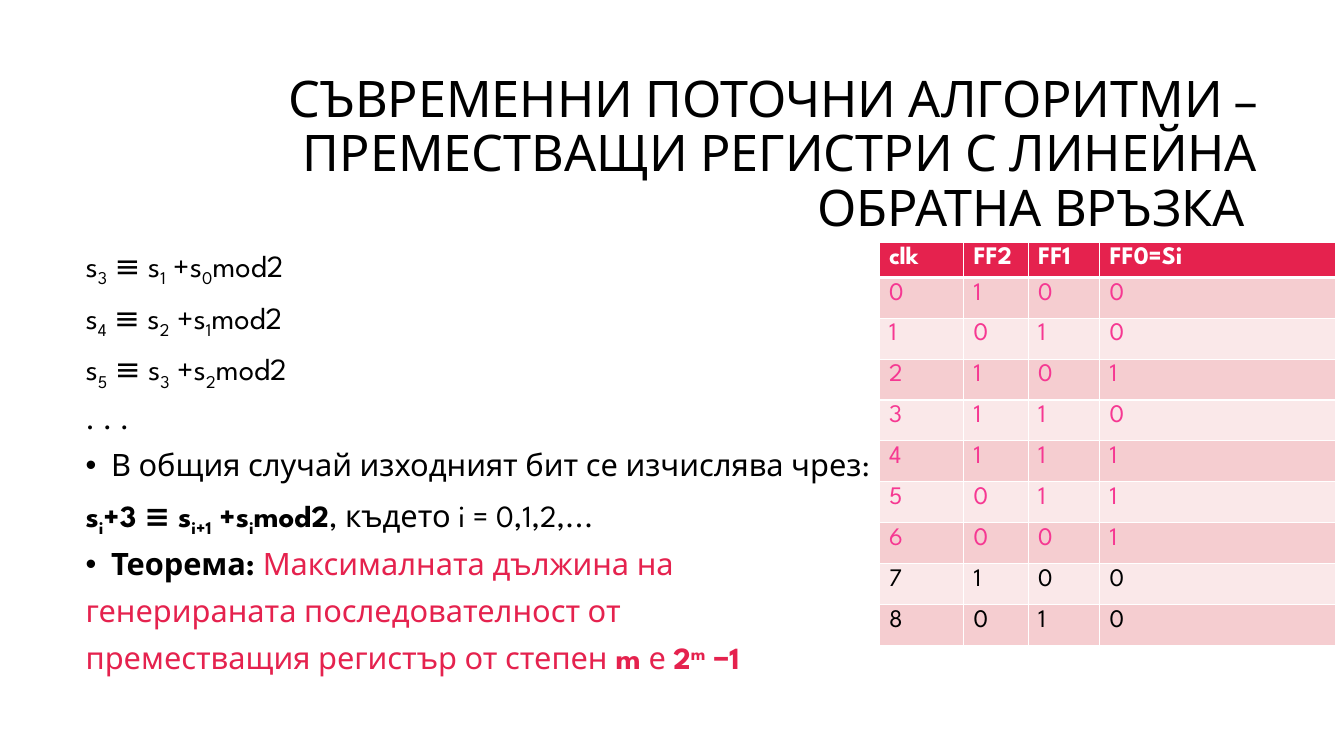
"""Build the slide on linear feedback shift registers with its state table."""
from pptx import Presentation
from pptx.dml.color import RGBColor
from pptx.enum.text import MSO_ANCHOR as ANCHOR, PP_ALIGN as ALIGN
from pptx.util import Cm, Pt
from lxml.etree import SubElement
from pptx.oxml.ns import qn

BLACK = RGBColor(0x00, 0x00, 0x00)
WHITE = RGBColor(0xFF, 0xFF, 0xFF)
RED = RGBColor(0xE5, 0x22, 0x4E)
PINK = RGBColor(0xF6, 0x38, 0x92)
BAND_DARK = RGBColor(0xF5, 0xCD, 0xD0)
BAND_LIGHT = RGBColor(0xFA, 0xE8, 0xE9)
FONT = "League Spartan"
SUB, SUP = -25000, 30000


def add_run(p, text, size, color=BLACK, bold=False, base=0):
    r = p.add_run()
    r.text = text
    r.font.name = FONT
    r.font.size = Pt(size)
    r.font.bold = bold
    r.font.color.rgb = color
    if base:
        r._r.get_or_add_rPr().set("baseline", str(base))


def add_box(s, left, top, width, height, anchor):
    tf = s.shapes.add_textbox(Cm(left), Cm(top), Cm(width), Cm(height)).text_frame
    tf.word_wrap = True
    tf.vertical_anchor = anchor
    return tf


prs = Presentation()
prs.slide_width, prs.slide_height = Cm(33.87), Cm(19.05)
s = prs.slides.add_slide(prs.slide_layouts[6])

p = add_box(s, 6.68, 2.13, 25.27, 3.58, ANCHOR.MIDDLE).paragraphs[0]
p.alignment = ALIGN.RIGHT
p.line_spacing = 0.9
add_run(p, "СЪВРЕМЕННИ ПОТОЧНИ АЛГОРИТМИ – ПРЕМЕСТВАЩИ РЕГИСТРИ С ЛИНЕЙНА ОБРАТНА ВРЪЗКА ", 36)

equations = [
    (False, [("s",), (f"{i + 3}", BLACK, False, SUB), (" ≡ s",),
             (f"{i + 1}", BLACK, False, SUB), (" +s",),
             (f"{i}", BLACK, False, SUB), ("mod2",)])
    for i in range(3)
]
lines = equations + [
    (False, [(". . .",)]),
    (True, [("В общия случай изходният бит се изчислява чрез:",)]),
    (False, [("s", BLACK, True), ("i", BLACK, True, SUB), ("+3 ≡ s", BLACK, True),
             ("i+1", BLACK, True, SUB), (" +s", BLACK, True), ("i", BLACK, True, SUB),
             ("mod2", BLACK, True), (", където i = 0,1,2,...",)]),
    (True, [("Теорема: ", BLACK, True), ("Максималната дължина на", RED)]),
    (False, [("генерираната последователност от", RED)]),
    (False, [("преместващия регистър от степен ", RED), ("m ", RED, True), ("е ", RED),
             ("2", RED, True), ("m", RED, True, SUP), (" −1", RED, True)]),
]
tf = add_box(s, 1.91, 6.1, 30.05, 11.18, ANCHOR.TOP)
for n, (bulleted, runs) in enumerate(lines):
    p = tf.add_paragraph() if n else tf.paragraphs[0]
    p.line_spacing = 0.9
    p.space_before = Pt(10 if n else 0)
    if bulleted:
        pPr = p._p.get_or_add_pPr()
        pPr.set("marL", str(Cm(0.64)))
        pPr.set("indent", str(-Cm(0.64)))
        SubElement(pPr, qn("a:buFont")).set("typeface", "Arial")
        SubElement(pPr, qn("a:buChar")).set("char", "•")
    for text, *style in runs:
        add_run(p, text, 22, *style)

states = [
    ("clk", "FF2", "FF1", "FF0=Si"),
    "0100", "1010", "2101", "3110", "4111", "5011", "6001", "7100", "8010",
]
widths = [2.13, 1.63, 1.8, 5.94]
table = s.shapes.add_table(len(states), len(widths), Cm(22.15), Cm(6.1),
                           Cm(sum(widths)), Cm(10.1)).table
for column, width in zip(table.columns, widths):
    column.width = Cm(width)
for n, state in enumerate(states):
    table.rows[n].height = Cm(1.03 if n else 0.83)
    if n == 0:
        fill, color = RED, WHITE
    else:
        fill = BAND_DARK if n % 2 else BAND_LIGHT
        color = PINK if n <= 7 else BLACK
    for cell, value in zip(table.rows[n].cells, state):
        if n == 0:
            cell.margin_bottom = 0
            tcPr = cell._tc.get_or_add_tcPr()
            for side, weight in (("L", 1), ("R", 1), ("T", 1), ("B", 3)):
                ln = SubElement(tcPr, qn(f"a:ln{side}"), w=str(Pt(weight)))
                SubElement(SubElement(ln, qn("a:solidFill")), qn("a:srgbClr"), val=str(WHITE))
        cell.fill.solid()
        cell.fill.fore_color.rgb = fill
        add_run(cell.text_frame.paragraphs[0], value, 18, color, n == 0)

prs.save("out.pptx")
